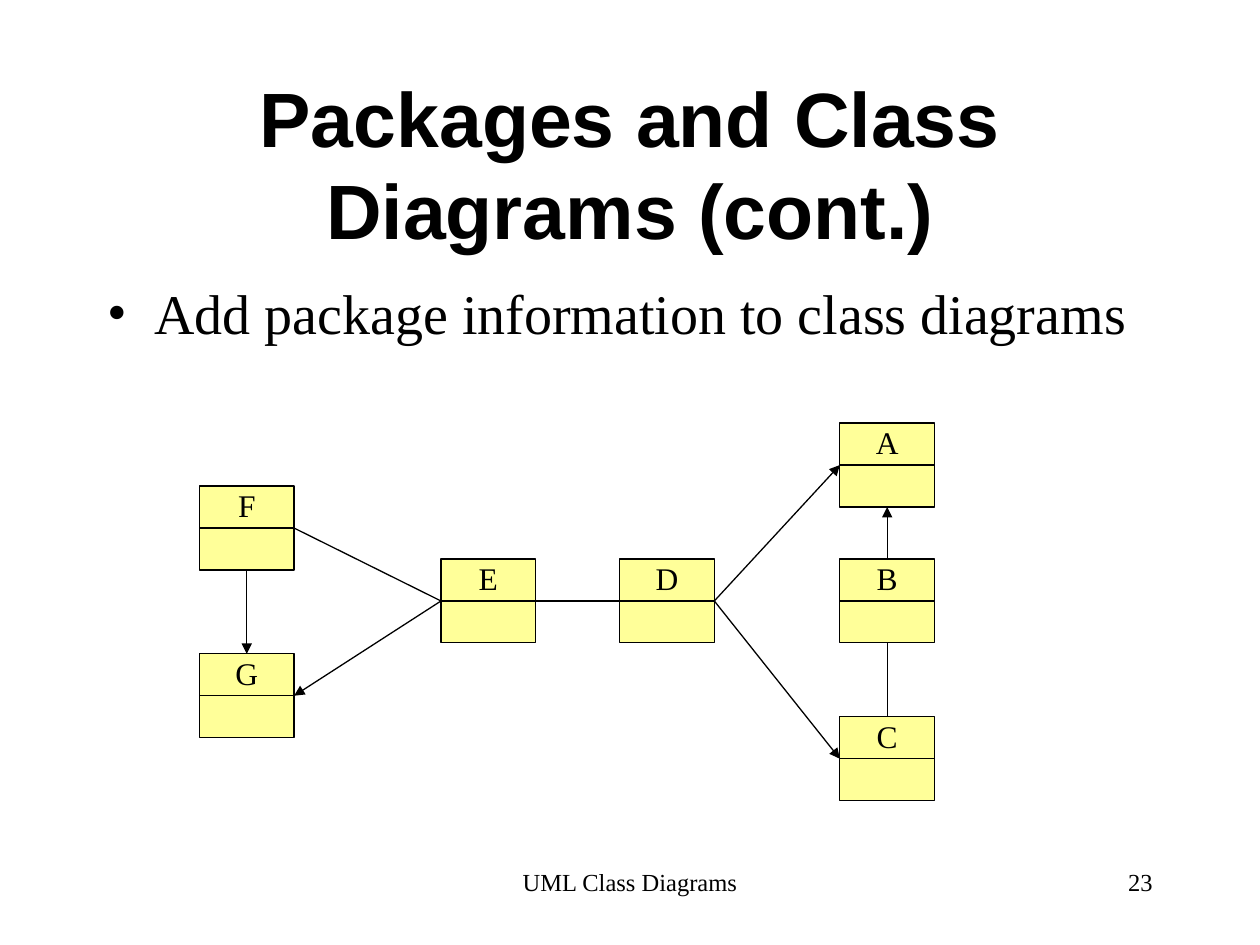
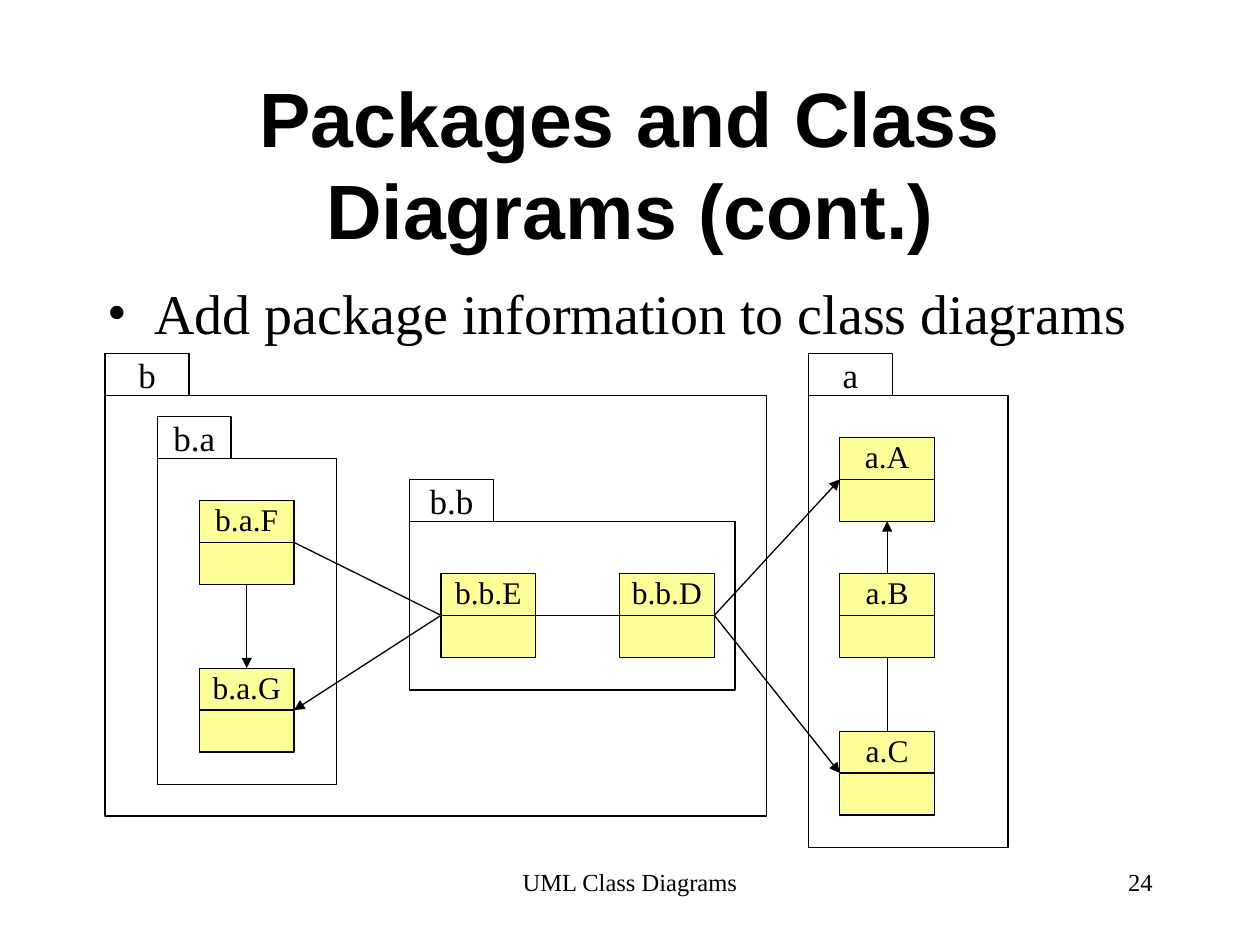
from pptx import Presentation
from pptx import util as u
from pptx.dml.color import RGBColor
from pptx.enum import shapes, text
from pptx.oxml.ns import qn
from lxml import etree

TITLE = "Packages and Class Diagrams (cont.)"
POINT = "Add package information to class diagrams"
FOOT = "UML Class Diagrams"
SERIF, INK, CREAM = "Times New Roman", "000000", "FFFF99"

BOX = (1.91, 1.69)
SPOTS = {
    "A": (16.93, 8.53),
    "D": (12.49, 11.27),
    "E": (8.89, 11.27),
    "F": (4.02, 9.8),
    "G": (4.02, 13.18),
    "C": (16.93, 14.45),
    "B": (16.93, 11.27),
}
TOP, LEFT, DOWN, RIGHT = range(4)
LINKS = [
    ("B", TOP, "A", DOWN, True),
    ("B", DOWN, "C", TOP, False),
    ("D", RIGHT, "C", LEFT, True),
    ("D", RIGHT, "A", LEFT, True),
    ("E", RIGHT, "D", LEFT, False),
    ("E", LEFT, "F", RIGHT, False),
    ("E", LEFT, "G", RIGHT, True),
    ("F", DOWN, "G", TOP, True),
]
TAB = 0.85
PACKS = [
    ("a", 16.3, 7.98, 4.02, 9.1, 1.69),
    ("b.b", 8.26, 10.52, 6.56, 3.39, 1.69),
    ("b.a", 3.18, 9.25, 3.6, 6.56, 1.48),
    ("b", 2.12, 7.98, 13.34, 8.47, 1.69),
]
HOMES = {"A": "a.", "B": "a.", "C": "a.", "D": "b.b.", "E": "b.b.", "F": "b.a.", "G": "b.a."}
SLIDES = [
    {"page": "23", "drop": 0, "homes": {}, "packs": []},
    {"page": "24", "drop": 0.29, "homes": HOMES, "packs": PACKS},
]

MID, HIGH = text.MSO_ANCHOR.MIDDLE, text.MSO_ANCHOR.TOP
CENTER, START, END = text.PP_ALIGN.CENTER, text.PP_ALIGN.LEFT, text.PP_ALIGN.RIGHT


def hue(code):
    return RGBColor.from_string(code)


def place(*spot):
    return [u.Cm(n) for n in spot]


def write(shape, words, size, align=CENTER, font=SERIF, bold=False, **frame):
    tf = shape.text_frame
    tf.text = words
    look = {"auto_size": text.MSO_AUTO_SIZE.NONE, "word_wrap": True, "vertical_anchor": HIGH}
    for key, value in {**look, **frame}.items():
        setattr(tf, key, value)
    para = tf.paragraphs[0]
    para.alignment = align
    face = para.runs[0].font
    for key, value in {"name": font, "size": u.Pt(size), "bold": bold}.items():
        setattr(face, key, value)
    face.color.rgb = hue(INK)
    return para


def label(slide, spot, words, size, align):
    return write(slide.shapes.add_textbox(*place(*spot)), words, size, align)


def bullet(para):
    para.space_before = u.Pt(8)
    props = para._p.get_or_add_pPr()
    props.set("marL", str(u.Cm(0.95)))
    props.set("indent", str(u.Cm(-0.95)))
    etree.SubElement(props, qn("a:buFont"), typeface=SERIF)
    etree.SubElement(props, qn("a:buChar"), char="•")


def rect(slide, spot, fill=None):
    shape = slide.shapes.add_shape(shapes.MSO_SHAPE.RECTANGLE, *place(*spot))
    shape.shadow.inherit = False
    if fill:
        shape.fill.solid()
        shape.fill.fore_color.rgb = hue(fill)
    else:
        shape.fill.background()
    shape.line.color.rgb = hue(INK)
    shape.line.width = u.Pt(0.75)
    return shape


def link(slide, one, side, two, other, arrow=False):
    wire = slide.shapes.add_connector(shapes.MSO_CONNECTOR.STRAIGHT, 0, 0, 0, 0)
    wire.begin_connect(one, side)
    wire.end_connect(two, other)
    wire.line.color.rgb = hue(INK)
    wire.line.width = u.Pt(0.75)
    if arrow:
        etree.SubElement(wire.line._get_or_add_ln(), qn("a:tailEnd"), type="triangle")
    etree.SubElement(wire._element.spPr, qn("a:effectLst"))


def frame(slide, page):
    title = slide.shapes.title
    spot = dict(zip(("left", "top", "width", "height"), place(1.91, 1.69, 21.59, 3.18)))
    for key, value in spot.items():
        setattr(title, key, value)
    write(title, TITLE, 44, font="Arial", bold=True, vertical_anchor=MID)
    bullet(label(slide, (1.91, 5.5, 21.59, 11.43), POINT, 32, START))
    label(slide, (8.68, 17.36, 8.04, 1.27), FOOT, 14, CENTER)
    label(slide, (18.2, 17.36, 5.29, 1.27), page, 14, END)


def classes(slide, drop, homes):
    nodes = {}
    for name, (x, y) in SPOTS.items():
        node = nodes[name] = rect(slide, (x, y + drop, *BOX), CREAM)
        write(node, homes.get(name, "") + name, 18, word_wrap=False, margin_top=0)
        link(slide, node, LEFT, node, RIGHT)
    for one, side, two, other, arrow in LINKS:
        link(slide, nodes[one], side, nodes[two], other, arrow)


def pack(slide, name, x, y, wide, high, tab):
    rect(slide, (x, y, wide, high))
    write(rect(slide, (x, y - TAB, tab, TAB)), name, 20, word_wrap=False, vertical_anchor=MID)


def main():
    deck = Presentation()
    deck.slide_width, deck.slide_height = place(25.4, 19.05)
    for data in SLIDES:
        slide = deck.slides.add_slide(deck.slide_layouts[5])
        frame(slide, data["page"])
        classes(slide, data["drop"], data["homes"])
        for item in data["packs"]:
            pack(slide, *item)
    deck.save("out.pptx")


if __name__ == "__main__":
    main()
